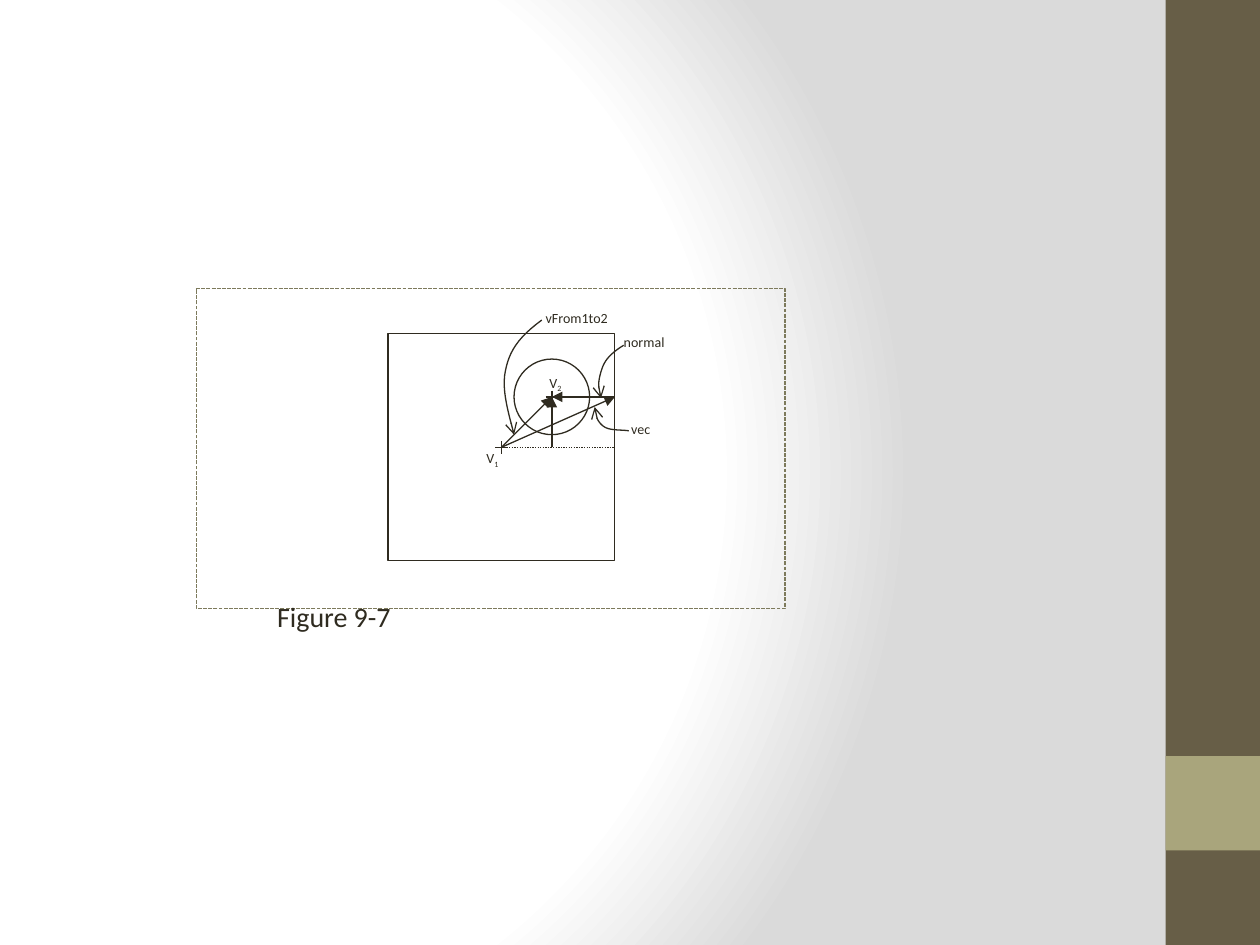
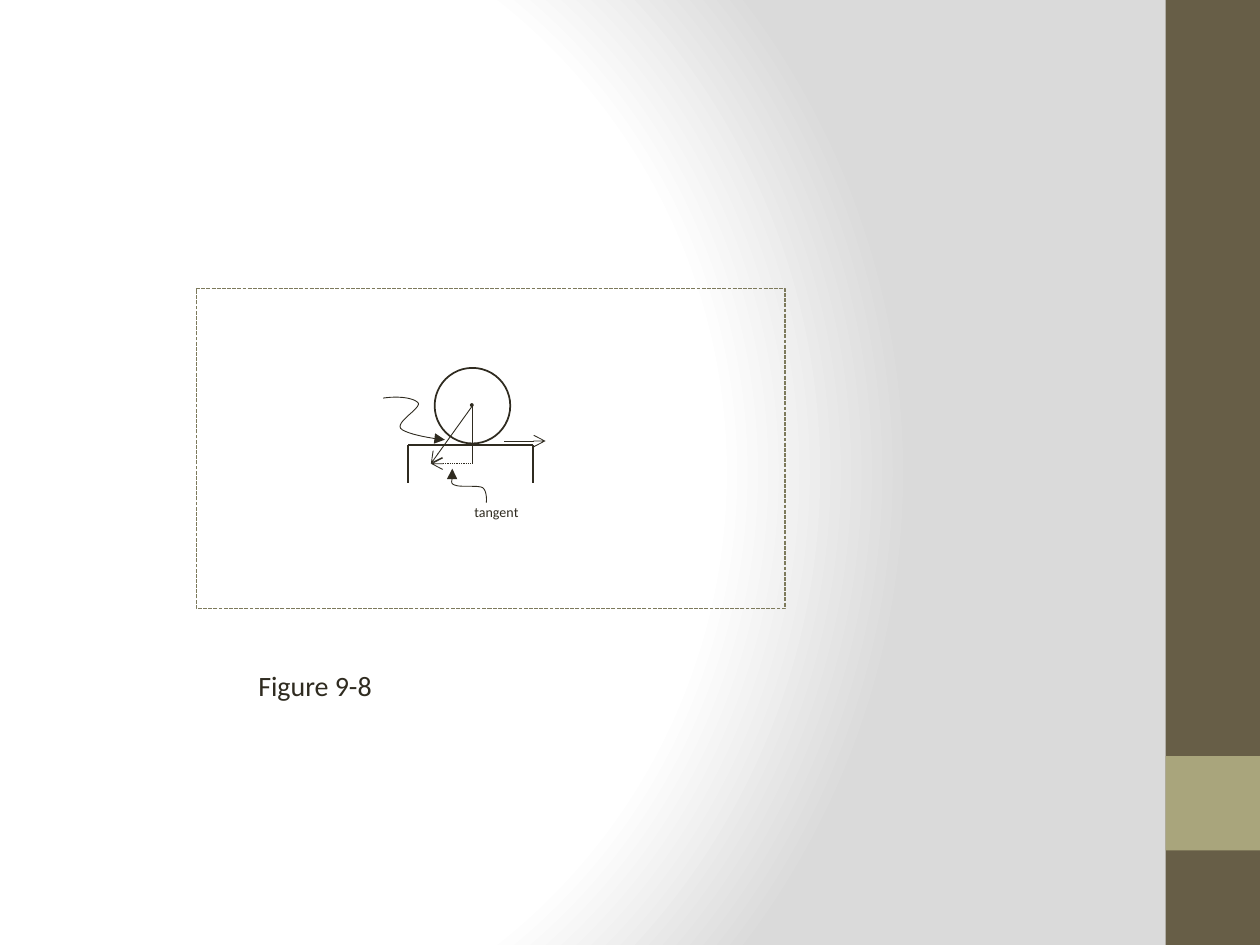
from dataclasses import dataclass

from lxml import etree
from pptx import Presentation
from pptx.dml.color import RGBColor
from pptx.enum.dml import MSO_LINE
from pptx.enum.shapes import MSO_CONNECTOR, MSO_SHAPE
from pptx.enum.text import MSO_AUTO_SIZE, PP_ALIGN
from pptx.oxml.ns import qn
from pptx.util import Inches, Pt

RECT, OVAL = MSO_SHAPE.RECTANGLE, MSO_SHAPE.OVAL
STRAIGHT = MSO_CONNECTOR.STRAIGHT
DASH, DOT = MSO_LINE.SQUARE_DOT, MSO_LINE.ROUND_DOT
LEFT, CENTER = PP_ALIGN.LEFT, PP_ALIGN.CENTER
GROW = MSO_AUTO_SIZE.SHAPE_TO_FIT_TEXT


@dataclass(frozen=True)
class Theme:
    ink: str = "2F2B20"
    frame: str = "7D7A5C"
    band: str = "675E47"
    patch: str = "A9A57C"
    stops: tuple = ((0, "FFFFFF"), (75, "FFFFFF"), (100, "DADADA"))
    font: str = "Calibri"
    label: float = 8
    caption: float = 16
    fine: float = 0.5
    thin: float = 0.75
    bold: float = 1


THEME = Theme()
FRAME = (1.56, 2.29, 4.67, 2.54)


# Drawing helpers; origin is the top left corner of the region
def stroke(shape, width, color=THEME.ink, dash=None, tip=None):
    shape.line.color.rgb = RGBColor.from_string(color)
    shape.line.width = Pt(width)
    if dash:
        shape.line.dash_style = dash
    if tip:
        line = shape.element.find(".//" + qn("a:ln"))
        etree.SubElement(line, qn("a:tailEnd"), type=tip)


def block(slide, kind, origin, box, fill=None, width=None, **style):
    x, y, w, h = box
    shape = slide.shapes.add_shape(kind, Inches(origin[0] + x), Inches(origin[1] + y),
                                   Inches(w), Inches(h))
    shape.shadow.inherit = False
    if fill:
        shape.fill.solid()
        shape.fill.fore_color.rgb = RGBColor.from_string(fill)
    else:
        shape.fill.background()
    if width:
        stroke(shape, width, **style)
    else:
        shape.line.fill.background()


def link(slide, origin, start, end, width=THEME.thin, **style):
    ends = [Inches(base + part) for point in (start, end)
            for base, part in zip(origin, point)]
    line = slide.shapes.add_connector(STRAIGHT, *ends)
    stroke(line, width, **style)
    etree.SubElement(line.element.spPr, qn("a:effectLst"))


def cross(slide, origin, center, arm=0.05):
    x, y = center
    link(slide, origin, (x - arm, y), (x + arm, y))
    link(slide, origin, (x, y - arm), (x, y + arm))


def curve(slide, origin, start, bends, width=THEME.thin, steps=12, **style):
    """Trace cubic bends, each given as two control points and an end."""
    points = [start]
    for x1, y1, x2, y2, x3, y3 in bends:
        x0, y0 = points[-1]
        for step in range(1, steps + 1):
            t = step / steps
            a, b, c, d = (1 - t) ** 3, 3 * t * (1 - t) ** 2, 3 * t * t * (1 - t), t ** 3
            points.append((a * x0 + b * x1 + c * x2 + d * x3,
                           a * y0 + b * y1 + c * y2 + d * y3))
    points = [(Inches(origin[0] + x), Inches(origin[1] + y)) for x, y in points]
    path = slide.shapes.build_freeform(*points[0])
    path.add_line_segments(points[1:], close=False)
    shape = path.convert_to_shape()
    shape.shadow.inherit = False
    shape.fill.background()
    stroke(shape, width, **style)


def write(slide, origin, box, text, sub=None, size=THEME.label, align=LEFT, pad=0.05):
    x, y, w, h = box
    area = slide.shapes.add_textbox(Inches(origin[0] + x), Inches(origin[1] + y),
                                    Inches(w), Inches(h))
    frame = area.text_frame
    frame.word_wrap = True
    frame.auto_size = GROW
    frame.margin_left = frame.margin_right = 0
    frame.margin_top = frame.margin_bottom = Inches(pad)
    para = frame.paragraphs[0]
    para.alignment = align
    for part in filter(None, (text, sub)):
        run = para.add_run()
        run.text = part
        run.font.name = THEME.font
        run.font.size = Pt(size)
        run.font.color.rgb = RGBColor.from_string(THEME.ink)
    if sub:
        list(area.element.iter(qn("a:rPr")))[-1].set("baseline", "-25000")


# Shared parts
def backdrop(master):
    master.background.fill.gradient()
    grad = master.element.find(".//" + qn("a:gradFill"))
    for child in list(grad):
        grad.remove(child)
    stops = etree.SubElement(grad, qn("a:gsLst"))
    for place, color in THEME.stops:
        stop = etree.SubElement(stops, qn("a:gs"), pos=str(place * 1000))
        etree.SubElement(stop, qn("a:srgbClr"), val=color)
    shade = etree.SubElement(grad, qn("a:path"), path="circle")
    etree.SubElement(shade, qn("a:fillToRect"), l="20000", t="50000",
                     r="100000", b="50000")


def side(slide, box):
    x, y, w, h = box
    block(slide, RECT, (x, y), (0, 0, w, h), fill=THEME.band)
    block(slide, RECT, (x, y), (0, 0.8 * h, w, w), fill=THEME.patch)


def figure(deck, draw, title, spot):
    slide = deck.slides.add_slide(deck.slide_layouts[6])
    side(slide, (9.25, 0, 0.75, 7.5))
    origin = FRAME[:2]
    block(slide, RECT, origin, (0, 0, *FRAME[2:]),
          width=THEME.thin, color=THEME.frame, dash=DASH)
    draw(slide, origin)
    write(slide, origin, (*spot, 2.32, 0.37), title, size=THEME.caption)


# Circle inside a square, with vectors between the two centres
def inside(slide, origin):
    first, second, edge = (2.42, 1.26), (2.82, 0.86), (3.32, 0.86)
    block(slide, RECT, origin, (1.52, 0.36, 1.8, 1.8), width=THEME.thin)
    block(slide, OVAL, origin, (2.52, 0.56, 0.6, 0.6), width=THEME.thin)
    for center in (first, second):
        cross(slide, origin, center)
    for start, end in ((first, second), (first, edge), (edge, second)):
        link(slide, origin, start, end, tip="triangle")
    link(slide, origin, first, (edge[0], first[1]), dash=DOT)
    link(slide, origin, (second[0], first[1]), second, THEME.bold, tip="triangle")

    # Leaders from the labels
    leaders = (
        ((3.43, 1.13), ((3.4, 1.12, 3.29, 1.13, 3.24, 1.1),
                        (3.19, 1.07, 3.16, 1.01, 3.16, 0.94))),
        ((2.74, 0.25), ((2.55, 0.39, 2.48, 0.5, 2.45, 0.66),
                        (2.42, 0.81, 2.48, 1, 2.52, 1.16))),
        ((3.39, 0.45), ((3.26, 0.53, 3.23, 0.59, 3.21, 0.66),
                        (3.19, 0.73, 3.18, 0.79, 3.21, 0.87))),
    )
    for start, bends in leaders:
        curve(slide, origin, start, bends, tip="arrow")
    labels = (
        (3.39, 0.31, 0.38, "normal", None),
        (2.77, 0.12, 0.52, "vFrom1to2", None),
        (2.8, 0.63, 0.15, "V", "2"),
        (2.3, 1.23, 0.15, "V", "1"),
        (3.45, 1, 0.2, "vec", None),
    )
    for x, y, w, text, sub in labels:
        write(slide, origin, (x, y, w, 0.24), text, sub)


# Circle resting on a block, with its tangent
def resting(slide, origin):
    hub, foot, tip = (2.19, 0.93), (2.19, 1.39), (1.86, 1.39)
    block(slide, OVAL, origin, (1.89, 0.63, 0.6, 0.6), width=THEME.bold)
    block(slide, OVAL, origin, (2.17, 0.91, 0.03, 0.03), fill=THEME.ink)
    left, right, top, base = 1.68, 2.67, 1.24, 1.54
    corners = ((left, base), (left, top), (right, top), (right, base))
    for start, end in zip(corners, corners[1:]):
        link(slide, origin, start, end, THEME.bold)

    # Vectors
    link(slide, origin, hub, foot, THEME.fine)
    link(slide, origin, (2.44, 1.21), (2.77, 1.21), THEME.fine, tip="arrow")
    link(slide, origin, foot, tip, THEME.fine, dash=DOT, tip="arrow")
    link(slide, origin, hub, tip, THEME.fine, tip="arrow")

    # Leaders and label
    leaders = (
        ((1.48, 0.87), ((1.61, 0.85, 1.73, 0.87, 1.76, 0.91),
                        (1.78, 0.95, 1.58, 1.06, 1.62, 1.11),
                        (1.66, 1.16, 1.93, 1.2, 1.97, 1.2))),
        ((2.3, 1.7), ((2.3, 1.7, 2.31, 1.61, 2.27, 1.58),
                      (2.23, 1.56, 2.09, 1.58, 2.05, 1.56),
                      (2.01, 1.55, 2.03, 1.52, 2.03, 1.5),
                      (2.02, 1.47, 2.02, 1.44, 2.03, 1.43))),
    )
    for start, bends in leaders:
        curve(slide, origin, start, bends, THEME.fine, tip="triangle")
    write(slide, origin, (2.17, 1.71, 0.42, 0.13), "tangent", align=CENTER, pad=0)


def main():
    deck = Presentation()
    deck.slide_width, deck.slide_height = Inches(10), Inches(7.5)
    backdrop(deck.slide_master)
    figure(deck, inside, "Figure 9-7", (0.64, 2.42))
    figure(deck, resting, "Figure 9-8", (0.49, 2.97))
    deck.save("out.pptx")


if __name__ == "__main__":
    main()
